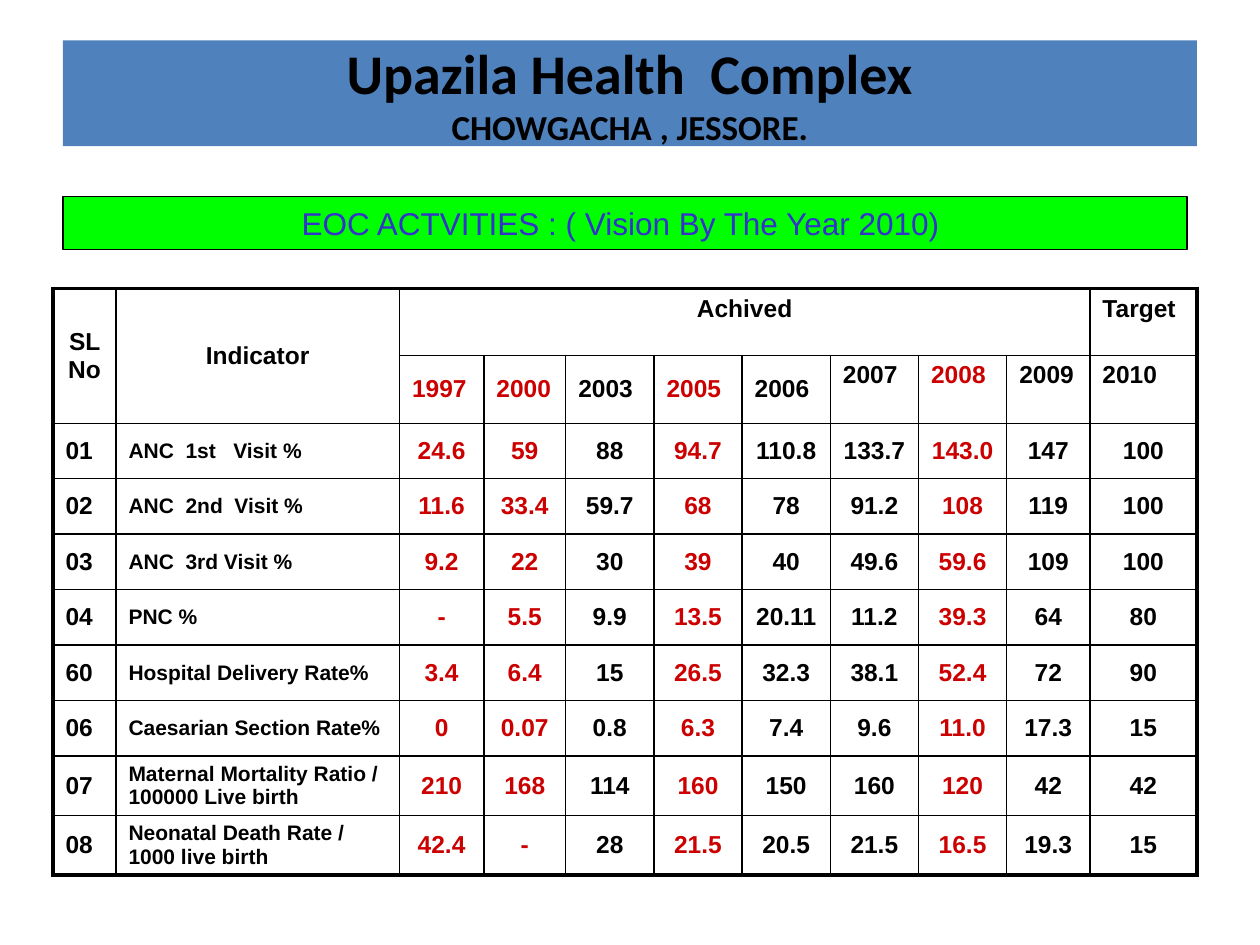
from typing import NamedTuple

from lxml import etree
from pptx import Presentation
from pptx.dml.color import RGBColor
from pptx.enum import shapes, text
from pptx.oxml import ns
from pptx.util import Inches, Pt

BLACK = RGBColor(0x00, 0x00, 0x00)
RED = RGBColor(0xCC, 0x00, 0x00)
BLUE = RGBColor(0x4F, 0x81, 0xBD)
GREEN = RGBColor(0x00, 0xFF, 0x00)
INDIGO = RGBColor(0x33, 0x33, 0xCC)

LEFT, CENTER = text.PP_ALIGN.LEFT, text.PP_ALIGN.CENTER
TOP, MIDDLE = text.MSO_ANCHOR.TOP, text.MSO_ANCHOR.MIDDLE
THIN, THICK = 1, 2.25


class Run(NamedTuple):
    text: str
    size: float
    color: RGBColor = BLACK
    font: str = "Arial"
    bold: bool = True


class Banner(NamedTuple):
    left: float
    top: float
    width: float
    height: float
    fill: RGBColor
    lines: list[Run]
    outlined: bool = False


class Indicator(NamedTuple):
    number: str
    name: str
    values: str


BANNERS = [
    Banner(0.5, 0.32, 9, 0.84, BLUE, [
        Run("Upazila Health  Complex", 32, font="Calibri"),
        Run("CHOWGACHA , JESSORE.", 20, font="Calibri"),
    ]),
    Banner(0.5, 1.56, 8.92, 0.42, GREEN, [
        Run("EOC ACTVITIES : ( Vision By The Year 2010) ", 18, INDIGO, bold=False),
    ], outlined=True),
]

YEARS = ["1997", "2000", "2003", "2005", "2006", "2007", "2008", "2009", "2010"]
RED_YEARS = {"1997", "2000", "2005", "2008"}
TOP_YEARS = {"2007", "2008", "2009", "2010"}

INDICATORS = [
    Indicator("01", "ANC  1st   Visit %", "24.6 59 88 94.7 110.8 133.7 143.0 147 100"),
    Indicator("02", "ANC  2nd  Visit %", "11.6 33.4 59.7 68 78 91.2 108 119 100"),
    Indicator("03", "ANC  3rd Visit %", "9.2 22 30 39 40 49.6 59.6 109 100"),
    Indicator("04", "PNC %", "- 5.5 9.9 13.5 20.11 11.2 39.3 64 80"),
    Indicator("60", "Hospital Delivery Rate%", "3.4 6.4 15 26.5 32.3 38.1 52.4 72 90"),
    Indicator("06", "Caesarian Section Rate%", "0 0.07 0.8 6.3 7.4 9.6 11.0 17.3 15"),
    Indicator("07", "Maternal Mortality Ratio / 100000 Live birth",
              "210 168 114 160 150 160 120 42 42"),
    Indicator("08", "Neonatal Death Rate / 1000 live birth",
              "42.4 - 28 21.5 20.5 21.5 16.5 19.3 15"),
]

COL_WIDTHS = [0.5, 2.25, 0.67, 0.65, 0.7, 0.7, 0.7, 0.7, 0.7, 0.66, 0.85]
ROW_HEIGHTS = [0.53, 0.54] + [0.44] * 6 + [0.47] * 2


def add_run(p, run: Run) -> None:
    r = p.add_run()
    r.text = run.text
    r.font.size = Pt(run.size)
    r.font.name = run.font
    r.font.bold = run.bold
    r.font.color.rgb = run.color


def add_banner(s, banner: Banner) -> None:
    box = map(Inches, banner[:4])
    sp = s.shapes.add_shape(shapes.MSO_SHAPE.RECTANGLE, *box)
    sp.shadow.inherit = False
    sp.fill.solid()
    sp.fill.fore_color.rgb = banner.fill
    if banner.outlined:
        sp.line.color.rgb = BLACK
        sp.line.width = Pt(0.75)
    else:
        sp.line.fill.background()
    tf = sp.text_frame
    tf.word_wrap = True
    tf.vertical_anchor = MIDDLE
    p = tf.paragraphs[0]
    p.alignment = CENTER
    for i, line in enumerate(banner.lines):
        if i:
            p.add_line_break()
        add_run(p, line)


def write_cell(cell, run: Run, align=CENTER, anchor=MIDDLE) -> None:
    cell.vertical_anchor = anchor
    p = cell.text_frame.paragraphs[0]
    p.alignment = align
    add_run(p, run)


def set_borders(cell, widths: dict[str, float]) -> None:
    tc_pr = cell._tc.get_or_add_tcPr()
    for i, (side, width) in enumerate(widths.items()):
        ln = etree.Element(ns.qn(f"a:ln{side}"), w=str(Pt(width)))
        fill = etree.SubElement(ln, ns.qn("a:solidFill"))
        etree.SubElement(fill, ns.qn("a:srgbClr"), val=str(BLACK))
        tc_pr.insert(i, ln)


def add_indicator_table(s) -> None:
    n_rows, n_cols = len(ROW_HEIGHTS), len(COL_WIDTHS)
    frame = s.shapes.add_table(n_rows, n_cols, Inches(0.42), Inches(2.29),
                               Inches(sum(COL_WIDTHS)), Inches(sum(ROW_HEIGHTS)))
    table = frame.table
    table.first_row = table.horz_banding = False
    for col, width in zip(table.columns, COL_WIDTHS):
        col.width = Inches(width)
    for row, height in zip(table.rows, ROW_HEIGHTS):
        row.height = Inches(height)

    for i in range(n_rows):
        for j in range(n_cols):
            cell = table.cell(i, j)
            cell.fill.background()
            set_borders(cell, {
                "L": THICK if j == 0 else THIN,
                "R": THICK if j == n_cols - 1 else THIN,
                "T": THICK if i == 0 else THIN,
                "B": THICK if i == n_rows - 1 else THIN,
            })

    table.cell(0, 0).merge(table.cell(1, 0))
    table.cell(0, 1).merge(table.cell(1, 1))
    table.cell(0, 2).merge(table.cell(0, n_cols - 2))
    write_cell(table.cell(0, 0), Run("SL No", 14))
    write_cell(table.cell(0, 1), Run("Indicator", 14))
    write_cell(table.cell(0, 2), Run("Achived", 14), anchor=TOP)
    write_cell(table.cell(0, n_cols - 1), Run("Target", 14), LEFT, TOP)

    colors = [RED if year in RED_YEARS else BLACK for year in YEARS]
    for j, (year, color) in enumerate(zip(YEARS, colors), start=2):
        anchor = TOP if year in TOP_YEARS else MIDDLE
        write_cell(table.cell(1, j), Run(year, 14, color), LEFT, anchor)

    for i, indicator in enumerate(INDICATORS, start=2):
        write_cell(table.cell(i, 0), Run(indicator.number, 14), LEFT)
        write_cell(table.cell(i, 1), Run(indicator.name, 12), LEFT)
        for j, (value, color) in enumerate(zip(indicator.values.split(), colors), start=2):
            write_cell(table.cell(i, j), Run(value, 14, color))


def main() -> None:
    prs = Presentation()
    prs.slide_width, prs.slide_height = Inches(10), Inches(7.5)
    s = prs.slides.add_slide(prs.slide_layouts[6])
    for banner in BANNERS:
        add_banner(s, banner)
    add_indicator_table(s)
    prs.save("out.pptx")


if __name__ == "__main__":
    main()
